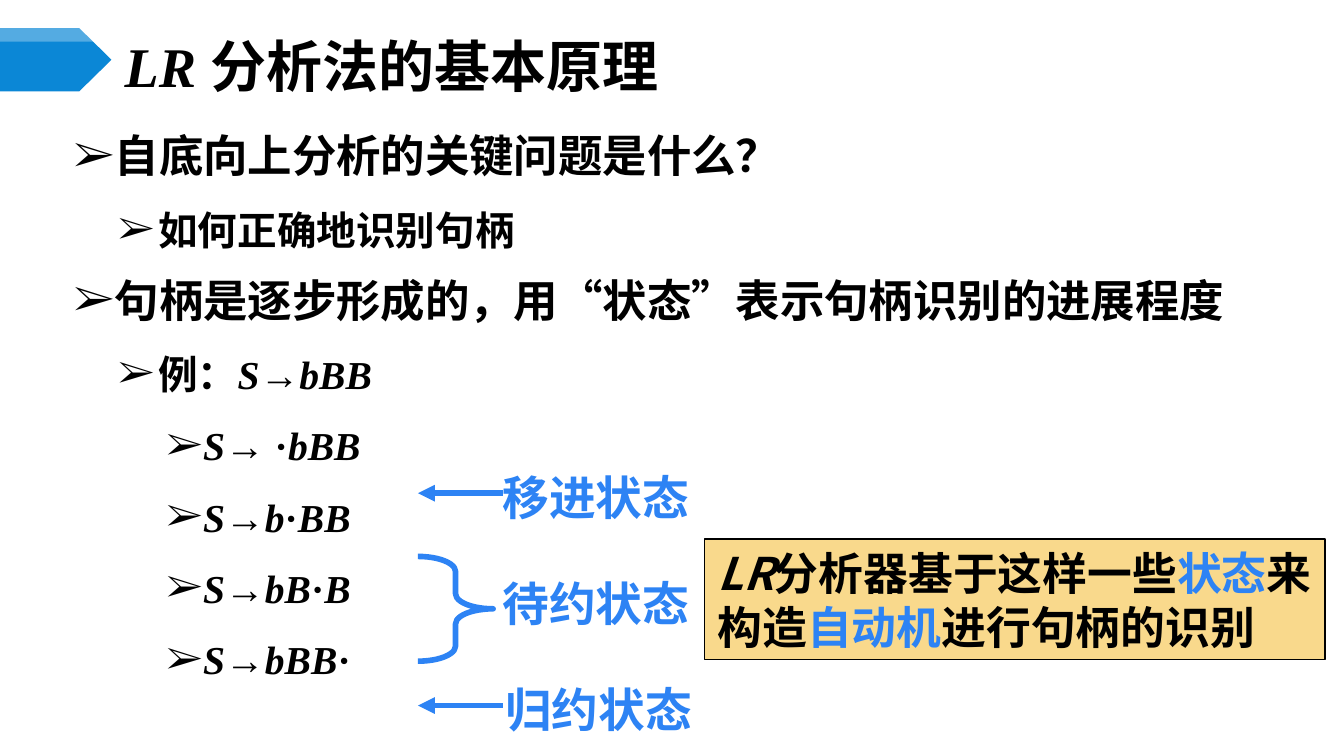
from itertools import groupby

from lxml.etree import SubElement
from pptx import Presentation
from pptx.dml.color import RGBColor
from pptx.enum.shapes import MSO_CONNECTOR as Connector, MSO_SHAPE as Preset
from pptx.enum.text import MSO_ANCHOR as Anchor, PP_ALIGN as Align
from pptx.oxml.ns import qn
from pptx.util import Inches, Pt

COLORS = {
    "text": "000000",
    "accent": "2D83F4",
    "banner": "0B87D6",
    "gloss": "FFFFFF",
    "callout": "F9D98C",
}
SANS, SERIF = "Noto Sans CJK SC", "Times New Roman"

# Per outline level: left margin, hanging indent, size, space before
LEVELS = [(0.3, 0.3, 23.8, 7), (0.63, 0.3, 21.2, 6.2), (0.94, 0.25, 21.2, 6.2)]
OUTLINE = [
    (0, "自底向上分析的关键问题是什么？", SANS),
    (1, "如何正确地识别句柄", SANS),
    (0, "句柄是逐步形成的，用“状态”表示句柄识别的进展程度", SANS),
    (1, "例：S→bBB", SERIF),
    (2, "S→ ·bBB", SERIF),
    (2, "S→b·BB", SERIF),
    (2, "S→bB·B", SERIF),
    (2, "S→bBB·", SERIF),
]
# Left, top, width, text
STATES = [
    (3.74, 3.44, 2.52, "移进状态"),
    (3.74, 4.23, 1.51, "待约状态"),
    (3.76, 5.02, 2.99, "归约状态"),
]
CALLOUT = [
    ("LR分析器基于这样一些", "text"),
    ("状态", "accent"),
    ("来构造", "text"),
    ("自动机", "accent"),
    ("进行句柄的识别", "text"),
]


def rgb(name):
    return RGBColor.from_string(COLORS[name])


def set_values(target, values):
    for name, value in values.items():
        setattr(target, name, value)


def is_symbol(char):
    return char.isascii() and char.isalpha()


def add_text(para, text, size, latin, color="text"):
    """Add bold text in which Latin letters are italic."""
    for italic, chars in groupby(text, is_symbol):
        span = para.add_run()
        span.text = "".join(chars)
        set_values(span.font, {"size": Pt(size), "name": latin, "bold": True, "italic": italic})
        span.font.color.rgb = rgb(color)
        SubElement(span.font._element, qn("a:ea"), typeface=SANS)


def add_box(page, left, top, width, height, **frame_format):
    box = page.shapes.add_textbox(*map(Inches, (left, top, width, height)))
    set_values(box.text_frame, {"word_wrap": True, **frame_format})
    return box.text_frame


def add_shape(page, preset, left, top, width, height, fill=None, line=None, weight=0.75):
    shape = page.shapes.add_shape(preset, *map(Inches, (left, top, width, height)))
    shape.shadow.inherit = False
    if fill:
        shape.fill.solid()
        shape.fill.fore_color.rgb = rgb(fill)
    else:
        shape.fill.background()
    if line:
        shape.line.color.rgb = rgb(line)
        shape.line.width = Pt(weight)
    else:
        shape.line.fill.background()
    return shape


def add_arrow(page, start, end, y):
    arrow = page.shapes.add_connector(
        Connector.STRAIGHT, Inches(start), Inches(y), Inches(end), Inches(y)
    )
    arrow.line.color.rgb = rgb("accent")
    arrow.line.width = Pt(3)
    SubElement(arrow.line._get_or_add_ln(), qn("a:tailEnd"), type="triangle")
    SubElement(arrow._element.spPr, qn("a:effectLst"))


def add_bullet(para, margin, hanging):
    props = para._p.get_or_add_pPr()
    props.set("marL", str(Inches(margin)))
    props.set("indent", str(-Inches(hanging)))
    color = SubElement(props, qn("a:buClr"))
    SubElement(color, qn("a:srgbClr"), val=COLORS["text"])
    SubElement(props, qn("a:buFont"), typeface=SERIF)
    SubElement(props, qn("a:buChar"), char="➢")


def add_banner(page):
    tag = add_shape(page, Preset.PENTAGON, 0, 0.21, 0.83, 0.47, fill="banner")
    tag.adjustments[0] = 0.51
    gloss = add_shape(page, Preset.PENTAGON, 0, 0.21, 0.83, 0.1, fill="gloss")
    color = gloss._element.spPr.find(qn("a:solidFill"))[0]
    SubElement(color, qn("a:alpha"), val="30000")


def add_outline(page):
    frame = add_box(page, 0.45, 0.86, 9.08, 3.53)
    for number, (level, text, latin) in enumerate(OUTLINE):
        margin, hanging, size, before = LEVELS[level]
        para = frame.add_paragraph() if number else frame.paragraphs[0]
        set_values(para, {"level": level, "line_spacing": Pt(32), "space_before": Pt(before)})
        add_bullet(para, margin, hanging)
        add_text(para, text, size, latin)


def add_callout(page):
    shape = add_shape(page, Preset.RECTANGLE, 5.24, 4.01, 4.62, 0.9, "callout", "text")
    set_values(shape.text_frame, {"word_wrap": True, "vertical_anchor": Anchor.TOP})
    para = shape.text_frame.paragraphs[0]
    para.alignment = Align.LEFT
    for text, color in CALLOUT:
        add_text(para, text, 24, SANS, color)


def main():
    # A 16:9 page
    deck = Presentation()
    set_values(deck, {"slide_width": Inches(10), "slide_height": Inches(10) * 9 // 16})
    page = deck.slides.add_slide(deck.slide_layouts[6])

    # Heading
    add_banner(page)
    title = add_box(page, 0.83, 0.29, 8.67, 0.39, vertical_anchor=Anchor.MIDDLE)
    add_text(title.paragraphs[0], "LR 分析法的基本原理", 30, SERIF)

    # Bulleted explanation
    add_outline(page)

    # State labels with their markers
    for left, top, width, text in STATES:
        label = add_box(page, left, top, width, 0.52, margin_left=0, margin_right=0)
        add_text(label.paragraphs[0], text, 25, SERIF, "accent")
    brace = add_shape(page, Preset.RIGHT_BRACE, 3.11, 4.14, 0.56, 0.78, line="accent", weight=3)
    brace.adjustments[0] = 0.2
    for y in (3.67, 5.25):
        add_arrow(page, 3.74, 3.11, y)

    # Conclusion
    add_callout(page)
    deck.save("out.pptx")


if __name__ == "__main__":
    main()
